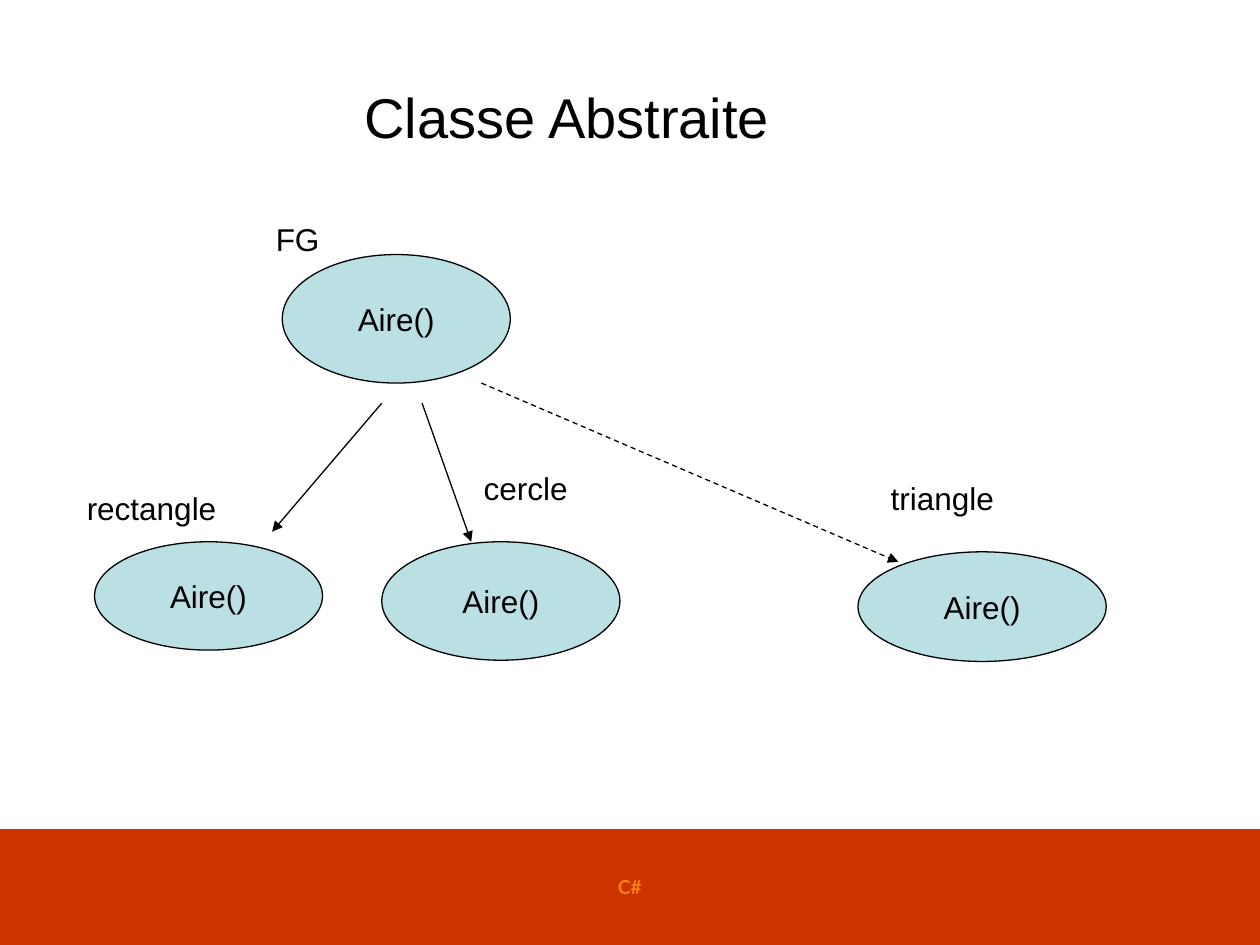
from dataclasses import dataclass

from lxml import etree
from pptx import Presentation
from pptx import util as u
from pptx.dml.color import RGBColor
from pptx.enum import dml, shapes, text
from pptx.oxml.ns import qn


@dataclass(frozen=True)
class Theme:
    """Colours, fonts and type sizes of the slide."""
    ink: str = "000000"
    node: str = "BBE0E3"
    band: str = "CC3300"
    accent: str = "F5800B"
    font: str = "Arial"
    footer_font: str = "Lato"
    title: int = 32
    body: int = 18
    footer: int = 11
    line: float = 0.75


T = Theme()
WIDTH, HEIGHT = u.Inches(10), u.Inches(7.5)
COLUMNS, ROWS = 100, 75


def grid(col, row):
    """Turn columns and rows into slide lengths."""
    return round(WIDTH * col / COLUMNS), round(HEIGHT * row / ROWS)


def write(sp, words, size, font=T.font, color=T.ink, bold=False,
          align=text.PP_ALIGN.CENTER, anchor=text.MSO_ANCHOR.MIDDLE, wrap=True):
    """Write one run into a shape and return its paragraph."""
    tf = sp.text_frame
    tf.word_wrap, tf.vertical_anchor = wrap, anchor
    p = tf.paragraphs[0]
    p.alignment = align
    r = p.add_run()
    r.text = words
    r.font.name, r.font.size, r.font.bold = font, u.Pt(size), bold
    r.font.color.rgb = RGBColor.from_string(color)
    return p


def shape(s, kind, at, size, fill):
    """Add a filled preset shape without shadow or outline."""
    sp = s.shapes.add_shape(kind, *grid(*at), *grid(*size))
    sp.shadow.inherit = False
    sp.fill.solid()
    sp.fill.fore_color.rgb = RGBColor.from_string(fill)
    sp.line.fill.background()
    return sp


def footer(s, words):
    """Add the coloured band at the foot of the slide."""
    sp = shape(s, shapes.MSO_SHAPE.RECTANGLE, (0, 65.8), (COLUMNS, 9.2), T.band)
    write(sp, words, T.footer, T.footer_font, T.accent, True, wrap=False)


def title(s, words):
    """Add the slide title."""
    sp = s.shapes.add_textbox(*grid(0, 3), *grid(90, 12.5))
    write(sp, words, T.title)


def stroke(line):
    """Give a line the common colour and width."""
    line.color.rgb = RGBColor.from_string(T.ink)
    line.width = u.Pt(T.line)


def node(s, words, at, size):
    """Add an outlined ellipse holding a method name."""
    sp = shape(s, shapes.MSO_SHAPE.OVAL, at, size, T.node)
    stroke(sp.line)
    write(sp, words, T.body, wrap=False)


def label(s, words, at, width):
    """Add the class name beside an ellipse."""
    sp = s.shapes.add_textbox(*grid(*at), *grid(width, 4))
    p = write(sp, words, T.body, align=text.PP_ALIGN.LEFT,
              anchor=text.MSO_ANCHOR.TOP)
    p.space_before = u.Pt(11.2)
    sp.text_frame.auto_size = text.MSO_AUTO_SIZE.SHAPE_TO_FIT_TEXT


def arrow(s, start, end, dashed=False):
    """Add a straight arrow, dashed on request."""
    sp = s.shapes.add_connector(shapes.MSO_CONNECTOR.STRAIGHT,
                                *grid(*start), *grid(*end))
    stroke(sp.line)
    if dashed:
        sp.line.dash_style = dml.MSO_LINE.DASH
    etree.SubElement(sp.line._get_or_add_ln(), qn("a:tailEnd"), type="triangle")
    etree.SubElement(sp._element.spPr, qn("a:effectLst"))


def main():
    """Build and save the slide."""
    prs = Presentation()
    prs.slide_width, prs.slide_height = WIDTH, HEIGHT
    s = prs.slides.add_slide(prs.slide_layouts[6])
    footer(s, "C#")
    title(s, "Classe Abstraite")
    for at, size in (((22.4, 20.2), (18.1, 10.2)), ((7.5, 43), (18.1, 8.6)),
                     ((30.3, 43), (18.9, 9.4)), ((68.1, 43.8), (19.7, 8.7))):
        node(s, "Aire()", at, size)
    arrow(s, (30.3, 32), (21.6, 42.2))
    arrow(s, (33.5, 32), (37.4, 43))
    arrow(s, (38.2, 30.4), (71.3, 44.6), dashed=True)
    for words, at, width in (("FG", (20.9, 17), 11.8),
                             ("rectangle", (5.9, 38.3), 14.2),
                             ("cercle", (37.4, 36.7), 14.2),
                             ("triangle", (69.7, 37.5), 18.1)):
        label(s, words, at, width)
    prs.save("out.pptx")


if __name__ == "__main__":
    main()
